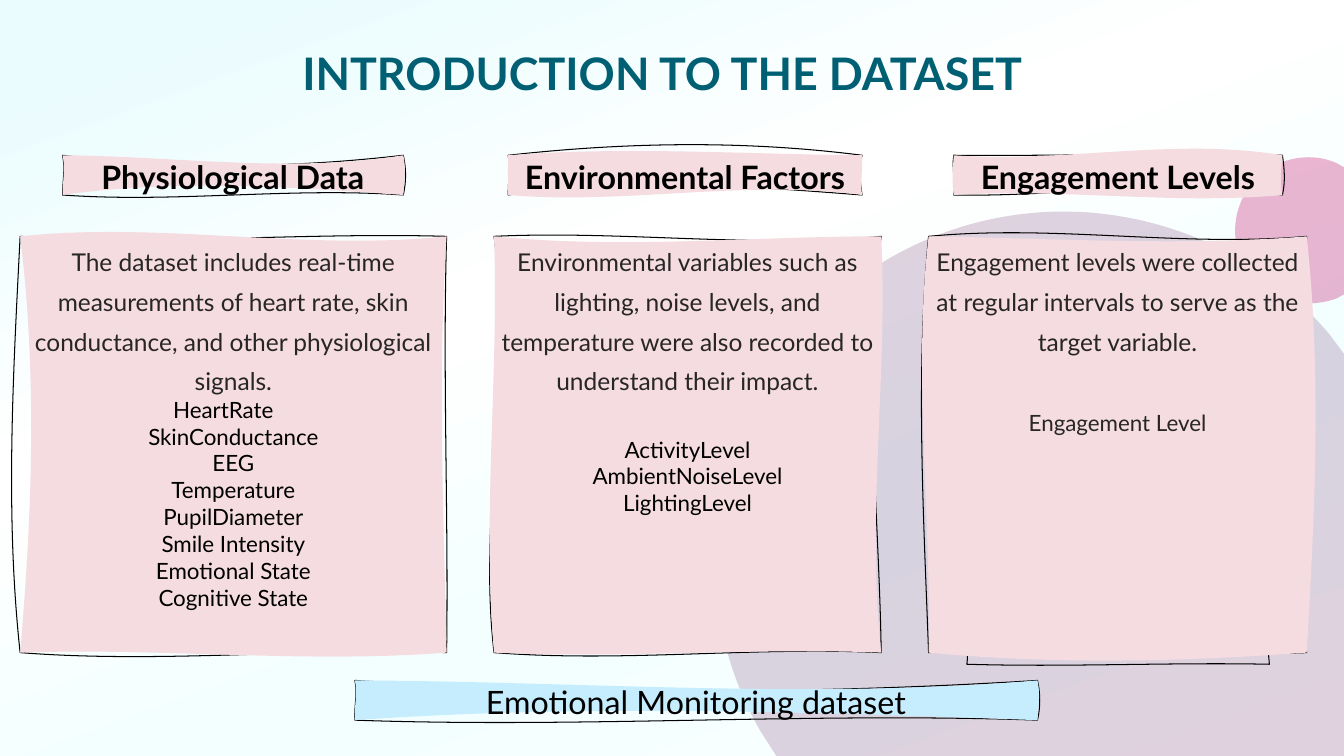
from lxml import etree
from pptx import Presentation
from pptx import util as u
from pptx.dml.color import RGBColor
from pptx.enum import text
from pptx.oxml.ns import qn

INK = {
    "title": "005F73", "rose": "F4DCE0", "sky": "C5EDFD", "black": "000000",
    "body": "272525", "plum": "6A205F", "pink": "C40C67",
}
GLOW = {7: "EAFCFE", 38: "FFFFFF", 66: "F3FFFF", 100: "FDFFFE"}
COLS, ROWS = 133.3, 75


def cell(n):
    return u.Inches(n / 10)


def rgb(name):
    return RGBColor.from_string(INK[name])


class Deck:
    font = "Lato"

    def __init__(self):
        self.file = Presentation()
        self.file.slide_width = cell(COLS)
        self.file.slide_height = cell(ROWS)
        self.slide = self.file.slides.add_slide(self.file.slide_layouts[5])

    def glow(self, stops, angle):
        fill = self.slide.background.fill
        fill.gradient()
        grad = self.slide.element.find(".//" + qn("a:gradFill"))
        rail = grad.find(qn("a:gsLst"))
        for old in list(rail):
            rail.remove(old)
        for place, tint in stops.items():
            stop = etree.SubElement(rail, qn("a:gs"), pos=str(place * 1000))
            etree.SubElement(stop, qn("a:srgbClr"), val=tint)
        grad.find(qn("a:lin")).set("ang", str(angle * 60000))

    def style(self, para, size, ink, bold=False, lead=None):
        para.alignment = text.PP_ALIGN.CENTER
        if lead:
            para.line_spacing = u.Pt(lead)
        for run in para.runs:
            run.font.name = self.font
            run.font.size = u.Pt(size)
            run.font.bold = bold
            run.font.color.rgb = rgb(ink)

    def title(self, words, x, y, w, h):
        head = self.slide.shapes.title
        head.left, head.top, head.width, head.height = map(cell, (x, y, w, h))
        head.text_frame.text = words
        head.text_frame.vertical_anchor = text.MSO_ANCHOR.MIDDLE
        para = head.text_frame.paragraphs[0]
        self.style(para, 32, "title", True)
        para.line_spacing = 0.9

    def frame(self, x, y, w, h):
        pen = self.slide.shapes.build_freeform(cell(x), cell(y))
        ends = [(x + w, y), (x + w, y + h), (x, y + h)]
        pen.add_line_segments([(cell(a), cell(b)) for a, b in ends], close=True)
        shape = pen.convert_to_shape()
        shape.shadow.inherit = False
        rail = shape.element.find(".//" + qn("a:pathLst"))
        rail.remove(rail[0])
        return shape, rail

    def trace(self, rail, w, h, start, steps, **flags):
        path = etree.SubElement(rail, qn("a:path"), w=str(cell(w)),
                                h=str(cell(h)), **flags)

        def mark(tag, spots):
            step = etree.SubElement(path, qn(tag))
            for x, y in spots:
                etree.SubElement(step, qn("a:pt"), x=str(cell(x)), y=str(cell(y)))

        mark("a:moveTo", [start])
        for spots in steps:
            mark("a:cubicBezTo" if len(spots) == 3 else "a:lnTo", spots)
        etree.SubElement(path, qn("a:close"))

    def disc(self, box, start, steps, ink, alpha):
        x, y, w, h = box
        disc, rail = self.frame(*box)
        self.trace(rail, w, h, (start[0] - x, start[1] - y),
                   [[(a - x, b - y) for a, b in spots] for spots in steps])
        disc.fill.solid()
        disc.fill.fore_color.rgb = rgb(ink)
        disc.line.fill.background()
        tint = disc.element.find(".//" + qn("a:srgbClr"))
        etree.SubElement(tint, qn("a:alpha"), val=str(alpha * 1000))

    def wobble(self, rail, w, h, bends, **flags):
        ends = [(0, 0), (w, 0), (w, h), (0, h), (0, 0)]
        steps = []
        for side, ((ax, ay), (bx, by)) in enumerate(zip(ends, ends[1:])):
            spots = []
            for part in (1, 2):
                push = bends[2 * side + part - 1] / 10
                x = ax + (bx - ax) * part / 3
                y = ay + (by - ay) * part / 3
                spots.append((x + push, y) if side % 2 else (x, y + push))
            steps.append([*spots, (bx, by)])
        self.trace(rail, w, h, ends[0], steps, **flags)

    def sketch(self, x, y, w, h, edge, body=None, ink=None):
        card, rail = self.frame(x, y, w, h)
        card.line.color.rgb = rgb("black")
        card.line.width = u.Pt(0.75)
        self.wobble(rail, w, h, edge, fill="none")
        if body:
            self.wobble(rail, w, h, body, stroke="0")
            card.fill.solid()
            card.fill.fore_color.rgb = rgb(ink)
        else:
            card.fill.background()
        frame = card.text_frame
        frame.margin_left = frame.margin_right = 0
        frame.margin_top = frame.margin_bottom = 0
        frame.vertical_anchor = text.MSO_ANCHOR.TOP
        return frame

    def label(self, words, box, bends, ink, bold):
        frame = self.sketch(*box, *bends, ink)
        frame.word_wrap = False
        frame.text = words
        self.style(frame.paragraphs[0], 23, "black", bold, 29)

    def panel(self, words, items, box, bends, gap, ink, lead, shift):
        frame = self.sketch(*box, *bends, "rose")
        frame.word_wrap = True
        frame.text = words
        self.style(frame.paragraphs[0], 17.5, "body", lead=28.5)
        for item in items:
            para = frame.add_paragraph()
            para.text = item
            self.style(para, 16, ink, lead=lead)
            inset = shift if item == items[0] else 0
            para._p.get_or_add_pPr().set("marR", str(cell(inset)))
        if gap:
            frame.paragraphs[1].space_before = u.Pt(gap)


def main():
    deck = Deck()
    deck.glow(GLOW, 70)
    deck.disc((70.9, 21, 62.4, 54), (104.7, 21), [
        [(105.9, 21), (107.1, 21), (108.2, 21.1)],
        [(117.8, 21.9), (126.1, 26.4), (131.8, 33.1)],
        [(133.3, 35.1)], [(133.3, 75)], [(77, 75)], [(75.4, 72.5)],
        [(72.1, 66.7), (70.4, 59.9), (71, 52.8)],
        [(72.4, 35), (87.2, 21.4), (104.7, 21)]], "plum", 20)
    deck.disc((122.5, 15.6, 10.8, 14.5), (129.8, 15.6), [
        [(130.8, 15.6), (131.7, 15.8), (132.6, 16.2)],
        [(133.3, 16.6)], [(133.3, 29.2)], [(132.6, 29.6)],
        [(131.7, 29.9), (130.8, 30.1), (129.8, 30.1)],
        [(125.8, 30.1), (122.5, 26.9), (122.5, 22.9)],
        [(122.5, 18.8), (125.8, 15.6), (129.8, 15.6)]], "pink", 30)
    deck.title("INTRODUCTION TO THE DATASET", 4.9, 4, 121.6, 7)
    deck.sketch(95.9, 61.9, 30, 4, (-15, -5, -3, -1, -2, 3, 2, -3))

    heads = [
        ("Physiological Data", 6.2, 33.8,
         ((14, 13, 3, 3, -8, 8, 0, 3), (1, 18, 3, 1, -8, -16, 0, 3))),
        ("Environmental Factors", 50.4, 35.1,
         ((-13, -15, -3, -2, -9, -18, 0, 2), (-9, -1, 1, -2, -16, 10, 0, -1))),
        ("Engagement Levels", 94.6, 32.6,
         ((1, -3, 2, 3, -17, 2, 2, -2), (8, -18, -1, -3, 10, -7, -2, -1))),
    ]
    panels = [
        ("The dataset includes real-time measurements of heart rate, skin "
         "conductance, and other physiological signals.",
         ["HeartRate", "SkinConductance", "EEG", "Temperature", "PupilDiameter",
          "Smile Intensity", "Emotional State", "Cognitive State"], 2, 42.3,
         ((9, -4, -4, 2, -5, 11, -15, -7), (-15, 15, -9, -3, 11, -5, 12, 17)),
         0, "black", None, 2),
        ("Environmental variables such as lighting, noise levels, and "
         "temperature were also recorded to understand their impact.",
         ["ActivityLevel", "AmbientNoiseLevel", "LightingLevel"], 49, 38.4,
         ((-6, 12, -18, -2, -6, 10, -16, 19), (13, 0, 7, -15, -5, 6, -12, 5)),
         28.5, "black", None, 0),
        ("Engagement levels were collected at regular intervals to serve as "
         "the target variable.",
         ["Engagement Level"], 92.1, 37.5,
         ((-12, 11, -11, -18, 5, -9, -5, -13), (2, 10, 15, 8, 9, 12, 3, -16)),
         28.5, "body", 28.5, 0),
    ]
    for head, panel in zip(heads, panels):
        name, x, w, bends = head
        deck.label(name, (x, 15.4, w, 3.95), bends, "rose", True)
        words, items, x, w, bends, *look = panel
        deck.panel(words, items, (x, 23.45, w, 41.3), bends, *look)

    deck.label("Emotional Monitoring dataset", (35.2, 67.5, 67.7, 3.95),
               ((14, 14, 3, 3, -8, 8, -1, 3), (1, 19, 3, 1, -8, -16, -1, 3)),
               "sky", False)
    deck.file.save("out.pptx")


if __name__ == "__main__":
    main()
